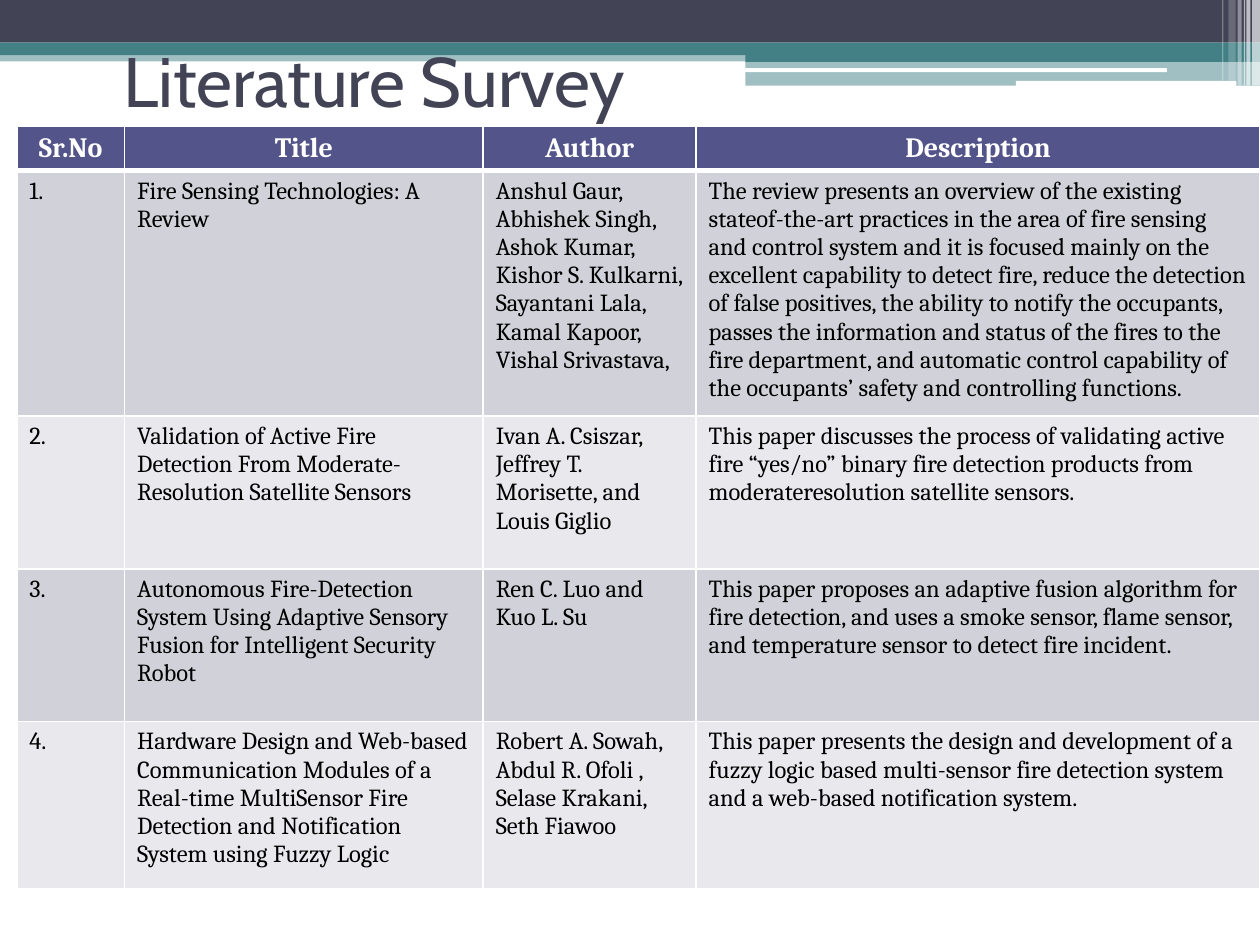
from lxml import etree
from pptx import Presentation
from pptx.dml.color import RGBColor
from pptx.enum import shapes, text
from pptx.oxml import ns
from pptx.util import Pt

WHITE = RGBColor(0xFF, 0xFF, 0xFF)
BLACK = RGBColor(0, 0, 0)
SLATE = RGBColor(0x42, 0x44, 0x56)
TEAL = RGBColor(0x43, 0x80, 0x86)
HEADER = RGBColor(0x53, 0x54, 0x8A)
ODD_ROW = RGBColor(0xD1, 0xD1, 0xDA)
EVEN_ROW = RGBColor(0xE9, 0xE9, 0xED)
RECT = shapes.MSO_SHAPE.RECTANGLE
ROUNDED = shapes.MSO_SHAPE.ROUNDED_RECTANGLE


def add_band(kind, left, top, width, height, color, opacity=100):
    band = page.shapes.add_shape(kind, Pt(left), Pt(top), Pt(width), Pt(height))
    band.shadow.inherit = False
    band.line.fill.background()
    band.fill.solid()
    band.fill.fore_color.rgb = color
    if opacity < 100:
        fill_color = band.fill._xPr.find(".//" + ns.qn("a:srgbClr"))
        etree.SubElement(fill_color, ns.qn("a:alpha"), val=str(opacity * 1000))


def add_border(cell, side, width):
    line = etree.SubElement(cell._tc.get_or_add_tcPr(), ns.qn("a:ln" + side), w=str(Pt(width)))
    fill = etree.SubElement(line, ns.qn("a:solidFill"))
    etree.SubElement(fill, ns.qn("a:srgbClr"), val=str(WHITE))


deck = Presentation()
deck.slide_width, deck.slide_height = Pt(720), Pt(540)
page = deck.slides.add_slide(deck.slide_layouts[6])

bands = [
    (RECT, 0, 28.5, 720, 6.6, TEAL, 50),
    (RECT, 0, 0, 720, 24.4, SLATE),
    (RECT, 0, 24.4, 720, 7.2, TEAL),
    (RECT, 426, 28.2, 294, 7.2, TEAL),
    (RECT, 426, 34.7, 294, 14.2, TEAL, 50),
    (ROUNDED, 425.6, 39, 241.2, 2.2, WHITE),
    (ROUNDED, 580.5, 46.2, 126, 2.9, WHITE),
]
for band in bands:
    add_band(*band)

stripes = [
    (715.5, 4.5, 48.8, 65),
    (712.3, 2.2, 48.8, 65),
    (710.8, 0.7, 48.8, 60),
    (707.3, 2.2, 48.8, 40),
    (701.9, 4.3, 46.1, 20),
    (698.4, 0.7, 46.1, 30),
]
for left, width, height, opacity in stripes:
    add_band(RECT, left, 0, width, height, WHITE, opacity)

survey = [
    ("Sr.No", "Title", "Author", "Description"),
    (
        "1.",
        "Fire Sensing Technologies: A Review",
        "Anshul Gaur, Abhishek Singh, Ashok Kumar, Kishor S. Kulkarni, "
        "Sayantani Lala, Kamal Kapoor, Vishal Srivastava,",
        "The review presents an overview of the existing stateof-the-art practices in the "
        "area of fire sensing and control system and it is focused mainly on the excellent "
        "capability to detect fire, reduce the detection of false positives, the ability to "
        "notify the occupants, passes the information and status of the fires to the fire "
        "department, and automatic control capability of the occupants’ safety and "
        "controlling functions.",
    ),
    (
        "2.",
        "Validation of Active Fire Detection From Moderate-Resolution Satellite Sensors",
        "Ivan A. Csiszar, Jeffrey T. Morisette, and Louis Giglio",
        "This paper discusses the process of validating active fire “yes/no” binary fire "
        "detection products from moderateresolution satellite sensors.",
    ),
    (
        "3.",
        "Autonomous Fire-Detection System Using Adaptive Sensory Fusion for Intelligent "
        "Security Robot",
        "Ren C. Luo and Kuo L. Su",
        "This paper proposes an adaptive fusion algorithm for fire detection, and uses a "
        "smoke sensor, flame sensor, and temperature sensor to detect fire incident.",
    ),
    (
        "4.",
        "Hardware Design and Web-based Communication Modules of a Real-time MultiSensor "
        "Fire Detection and Notification System using Fuzzy Logic",
        "Robert A. Sowah, Abdul R. Ofoli , Selase Krakani, Seth Fiawoo",
        "This paper presents the design and development of a fuzzy logic based "
        "multi-sensor fire detection system and a web-based notification system.",
    ),
]
column_widths = [61.6, 204.9, 121.7, 322.2]
row_heights = [25.4, 140.2, 87.3, 87.3, 95.6]
frame = page.shapes.add_table(
    len(survey), len(column_widths), Pt(9.6), Pt(72), Pt(sum(column_widths)), Pt(sum(row_heights))
)
table = frame.table
for column, width in zip(table.columns, column_widths):
    column.width = Pt(width)
for row, height in zip(table.rows, row_heights):
    row.height = Pt(height)

for row_index, entries in enumerate(survey):
    is_header = row_index == 0
    row_fill = HEADER if is_header else ODD_ROW if row_index % 2 else EVEN_ROW
    for column_index, entry in enumerate(entries):
        cell = table.cell(row_index, column_index)
        for side in "LRTB":
            thick = (row_index, side) in ((0, "B"), (1, "T"))
            add_border(cell, side, 3 if thick else 1)
        cell.fill.solid()
        cell.fill.fore_color.rgb = row_fill
        cell.text_frame.text = entry
        para = cell.text_frame.paragraphs[0]
        para.alignment = text.PP_ALIGN.CENTER if is_header else text.PP_ALIGN.LEFT
        span = para.runs[0]
        span.font.name = "Cambria"
        span.font.size = Pt(16 if is_header else 14)
        span.font.bold = is_header
        span.font.color.rgb = WHITE if is_header else BLACK

title = page.shapes.add_textbox(Pt(-110), Pt(3.6), Pt(648), Pt(84))
title.text_frame.word_wrap = True
title.text_frame.vertical_anchor = text.MSO_ANCHOR.MIDDLE
title.text_frame.text = "Literature Survey"
para = title.text_frame.paragraphs[0]
para.alignment = text.PP_ALIGN.CENTER
span = para.runs[0]
span.font.name = "Cabin"
span.font.size = Pt(40)
span.font.color.rgb = SLATE

deck.save("out.pptx")
